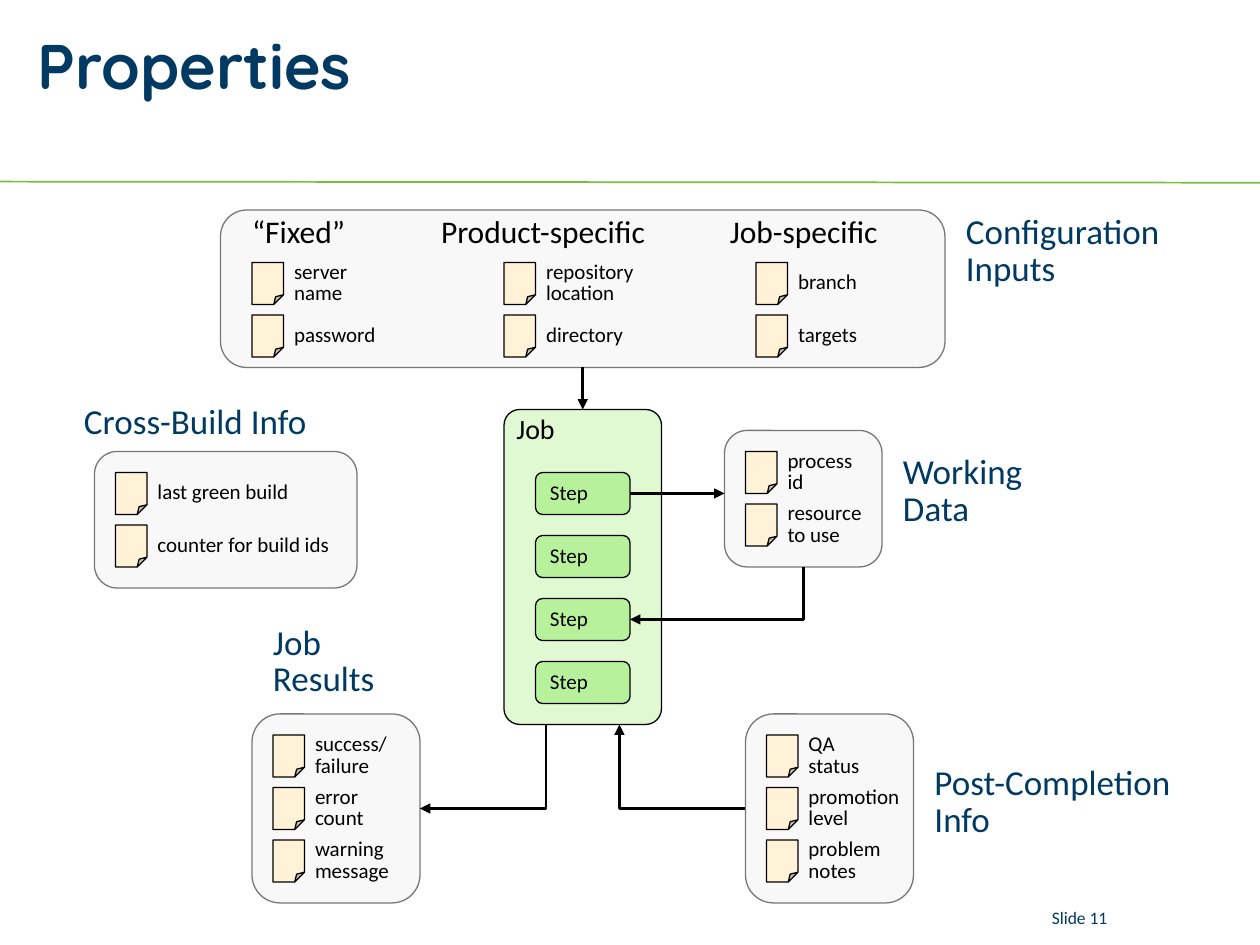
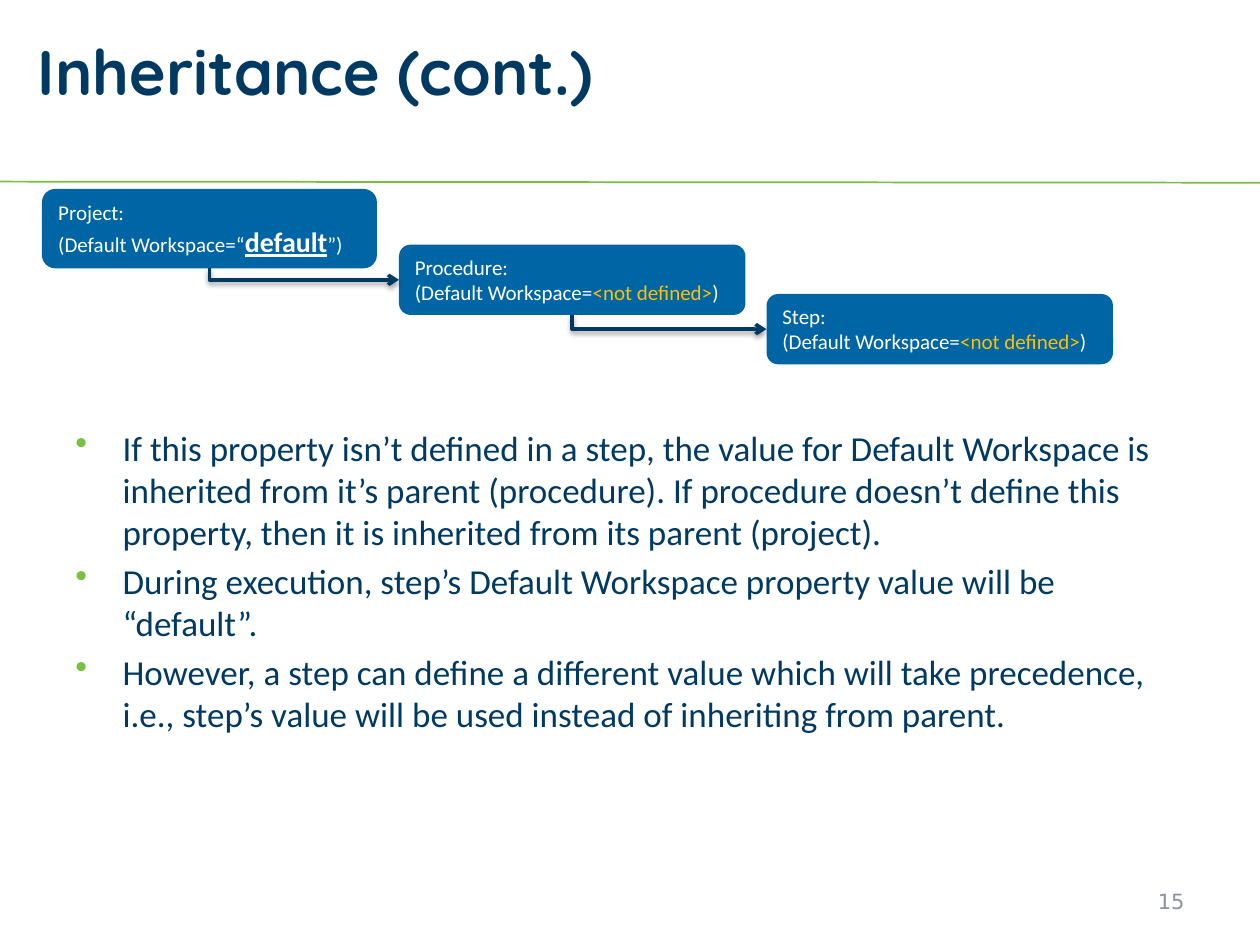
"""Build two slides on build properties: a property map and property inheritance."""
from dataclasses import dataclass

from lxml import etree
from pptx import Presentation
from pptx import util as u
from pptx.dml.color import RGBColor
from pptx.enum import shapes, text
from pptx.oxml.ns import qn

COLS, ROWS = 120, 90
CELL = u.Inches(10) // COLS


@dataclass(frozen=True)
class Theme:
    """Colours, fonts and type sizes shared by the slides."""
    navy: str = "003A63"
    rule: str = "77C03E"
    bullet: str = "7AC143"
    black: str = "000000"
    white: str = "FFFFFF"
    panel: str = "F8F8F8"
    panel_line: str = "777777"
    note: str = "FFF2D7"
    job: str = "E0F9D3"
    step: str = "B8F19B"
    card: str = "0065A4"
    undefined: str = "FFC000"
    number: str = "8C919F"
    head_font: str = "Quicksand"
    body_font: str = "Calibri"
    number_font: str = "DejaVu Sans"
    title: float = 36
    label: float = 20
    column: float = 18
    strong: float = 16
    small: float = 12
    footer: float = 10


T = Theme()


@dataclass(frozen=True)
class Box:
    """A rectangle in grid columns and rows."""
    x: float
    y: float
    w: float
    h: float

    def emu(self) -> list[int]:
        """Return left, top, width and height in EMU."""
        return [at(n) for n in (self.x, self.y, self.w, self.h)]


@dataclass(frozen=True)
class Panel:
    """A rounded panel with columns of notes and a label beside it."""
    box: Box
    label: str
    label_box: Box
    notes: tuple[tuple[str, ...], ...]
    dx: float = 2
    dy: float = 2


@dataclass(frozen=True)
class Span:
    """A piece of text with its own look."""
    words: str
    color: str = T.white
    strong: bool = False


@dataclass(frozen=True)
class Card:
    """A level of the inheritance chain."""
    box: Box
    name: str
    value: tuple[Span, ...]


UNDEFINED = (Span("(Default Workspace="), Span("<not defined>", T.undefined), Span(")"))
CARDS = (
    Card(Box(4, 18, 31.9, 7.56), "Project:",
         (Span("(Default Workspace=“"), Span("default", strong=True), Span("”)"))),
    Card(Box(38, 23.3, 33, 6.7), "Procedure:", UNDEFINED),
    Card(Box(73, 28, 33, 6.7), "Step:", UNDEFINED),
)
PANELS = {
    "config": Panel(Box(21, 20, 69, 15), "Configuration\nInputs", Box(92, 20.5, 24, 7),
                    (("server\nname", "password"), ("repository\nlocation", "directory"),
                     ("branch", "targets")), 3, 5),
    "working": Panel(Box(69, 41, 15, 13), "Working\nData", Box(86, 43.4, 14, 7),
                     (("process\nid", "resource\nto use"),)),
    "results": Panel(Box(24, 68, 16, 18), "Job\nResults", Box(26, 59.6, 14, 7),
                     (("success/\nfailure", "error\ncount", "warning\nmessage"),)),
    "post": Panel(Box(71, 68, 16, 18), "Post-Completion\nInfo", Box(89, 73, 26, 7),
                  (("QA\nstatus", "promotion\nlevel", "problem\nnotes"),)),
    "cross": Panel(Box(9, 43, 25, 13), "Cross-Build Info", Box(8, 38.6, 27, 3.5),
                   (("last green build", "counter for build ids"),)),
}
INPUT_KINDS = (("“Fixed”", 24), ("Product-specific", 42), ("Job-specific", 69.5))
ELBOWS = (
    ((76.5, 54), (76.5, 59), (60, 59)),
    ((52, 69), (52, 77), (40, 77)),
    ((71, 77), (59, 77), (59, 69)),
)
RULES = (
    "If this property isn’t defined in a step, the value for Default Workspace is inherited "
    "from it’s parent (procedure). If procedure doesn’t define this property, then it is "
    "inherited from its parent (project).",
    "During execution, step’s Default Workspace property value will be “default”.",
    "However, a step can define a different value which will take precedence, i.e., step’s "
    "value will be used instead of inheriting from parent.",
)


def at(n: float) -> int:
    """Convert grid cells to EMU."""
    return round(n * CELL)


def style(font, size: float, color: str, name: str = T.body_font, bold: bool = False) -> None:
    """Set the look of a font."""
    font.size, font.name, font.bold = u.Pt(size), name, bold
    font.color.rgb = RGBColor.from_string(color)


def write(tf, words: str, size: float, color: str = T.black, spacing: float = 1,
          name: str = T.body_font, align=text.PP_ALIGN.LEFT):
    """Write one paragraph into a text frame."""
    tf.word_wrap = True
    p = tf.paragraphs[0]
    p.text, p.line_spacing, p.alignment = words, spacing, align
    style(p.font, size, color, name)
    return p


def add_text(s, box: Box, words: str, size: float, color: str = T.black, spacing: float = 1,
             anchor=text.MSO_ANCHOR.TOP, inset: bool = False, **look):
    """Add a text box holding one paragraph."""
    tf = s.shapes.add_textbox(*box.emu()).text_frame
    tf.vertical_anchor = anchor
    if not inset:
        tf.margin_left = tf.margin_right = tf.margin_top = tf.margin_bottom = 0
    write(tf, words, size, color, spacing, **look)
    return tf


def add_box(s, kind, box: Box, fill: str, line: str | None = None, adj: float | None = None):
    """Add a filled preset shape."""
    sp = s.shapes.add_shape(kind, *box.emu())
    sp.shadow.inherit = False
    sp.fill.solid()
    sp.fill.fore_color.rgb = RGBColor.from_string(fill)
    if line:
        sp.line.color.rgb = RGBColor.from_string(line)
        sp.line.width = u.Pt(0.75)
    else:
        sp.line.fill.background()
    if adj is not None:
        guides = sp._element.spPr.find(qn("a:prstGeom")).get_or_add_avLst()
        for guide in list(guides):
            guides.remove(guide)
        etree.SubElement(guides, qn("a:gd"), name="adj", fmla=f"val {round(adj * 100000)}")
    return sp


def stroke(sp, color: str, width: float, head: str | None = None) -> None:
    """Set a line's colour, width and arrowhead."""
    sp.line.color.rgb = RGBColor.from_string(color)
    sp.line.width = u.Pt(width)
    if head:
        etree.SubElement(sp._element.spPr.find(qn("a:ln")), qn("a:tailEnd"), type=head)


def add_line(s, x1: float, y1: float, x2: float, y2: float, color: str = T.black,
             width: float = 1.5, head: str | None = None, kind=shapes.MSO_CONNECTOR.STRAIGHT):
    """Add a connector without a shadow."""
    c = s.shapes.add_connector(kind, at(x1), at(y1), at(x2), at(y2))
    stroke(c, color, width, head)
    etree.SubElement(c._element.spPr, qn("a:effectLst"))
    return c


def add_elbow(s, points: tuple[tuple[float, float], ...]) -> None:
    """Add an open bent arrow through the points."""
    (x, y), *rest = points
    fb = s.shapes.build_freeform(at(x), at(y))
    fb.add_line_segments([(at(a), at(b)) for a, b in rest], close=False)
    sp = fb.convert_to_shape()
    sp.shadow.inherit = False
    sp.fill.background()
    stroke(sp, T.black, 1.5, "triangle")


def add_drop(s, upper, lower) -> None:
    """Join the bottom of one card to the left of the next, down and then right."""
    c = add_line(s, 0, 0, 1, 1, T.navy, 2, "arrow", shapes.MSO_CONNECTOR.ELBOW)
    c.begin_connect(upper, 2)
    c.end_connect(lower, 1)
    x, y, w, h = c.left, c.top, c.width, c.height
    c.left, c.top = x + (w - h) // 2, y + (h - w) // 2
    c.width, c.height = h, w
    sppr = c._element.spPr
    xfrm = sppr.find(qn("a:xfrm"))
    xfrm.set("rot", "16200000")
    xfrm.set("flipH", "1")
    sppr.find(qn("a:prstGeom")).set("prst", "bentConnector2")
    shadow = etree.SubElement(sppr.find(qn("a:effectLst")), qn("a:outerShdw"),
                              blurRad=str(int(u.Pt(3.1))), dist=str(int(u.Pt(1.6))),
                              dir="5400000", rotWithShape="0")
    tint = etree.SubElement(shadow, qn("a:srgbClr"), val=T.black)
    etree.SubElement(tint, qn("a:alpha"), val="38000")


def add_slide(prs, title: str, spacing: float = 1):
    """Add a titled slide with the green rule."""
    s = prs.slides.add_slide(prs.slide_layouts[5])
    add_line(s, 0, 17.3, COLS, 17.4, T.rule, 1)
    sp = s.shapes.title
    sp.left, sp.top, sp.width, sp.height = Box(2.4, 2.5, 97.6, 8.4).emu()
    tf = sp.text_frame
    tf.vertical_anchor, tf.auto_size = text.MSO_ANCHOR.TOP, text.MSO_AUTO_SIZE.NONE
    p = write(tf, title, T.title, T.navy, spacing, T.head_font)
    p.font.bold = True
    return s


def add_panel(s, panel: Panel):
    """Draw a panel, its notes and its label."""
    b = panel.box
    sp = add_box(s, shapes.MSO_SHAPE.ROUNDED_RECTANGLE, b, T.panel, T.panel_line)
    for i, column in enumerate(panel.notes):
        for j, words in enumerate(column):
            x, y = b.x + panel.dx + 24 * i, b.y + panel.dy + 5 * j
            add_box(s, shapes.MSO_SHAPE.FOLDED_CORNER, Box(x, y, 3, 4), T.note, T.black, 0.31)
            add_text(s, Box(x + 4, y, min(20, b.x + b.w - x - 4), 4), words, T.small,
                     spacing=0.85, anchor=text.MSO_ANCHOR.MIDDLE)
    add_text(s, panel.label_box, panel.label, T.label, T.navy, 0.87)
    return sp


def properties_slide(prs) -> None:
    """Draw the job and the property groups around it."""
    s = add_slide(prs, "Properties", 0.95)
    rounded = shapes.MSO_SHAPE.ROUNDED_RECTANGLE
    job = add_box(s, rounded, Box(48, 39, 15, 30), T.job, T.black, 0.1)
    add_text(s, Box(48, 39, 15, 4), "Job", T.strong, spacing=0.87, inset=True)
    steps = [add_box(s, rounded, Box(51, 45 + 6 * i, 9, 4), T.step, T.black) for i in range(4)]
    for step in steps:
        write(step.text_frame, "Step", T.small, spacing=0.87)
    drawn = {name: add_panel(s, panel) for name, panel in PANELS.items()}
    for words, x in INPUT_KINDS:
        add_text(s, Box(x, 20.6, 21, 3.3), words, T.column, spacing=0.9)
    feed = add_line(s, 55.5, 35, 55.5, 39, head="triangle")
    feed.begin_connect(drawn["config"], 2)
    feed.end_connect(job, 0)
    add_line(s, 60, 47, 69, 47, head="triangle").begin_connect(steps[0], 3)
    for points in ELBOWS:
        add_elbow(s, points)
    add_text(s, Box(99, 83, 12, 6), "Slide 11", T.footer, T.navy,
             anchor=text.MSO_ANCHOR.BOTTOM, inset=True)


def inheritance_slide(prs) -> None:
    """Draw the inheritance chain and its rules."""
    s = add_slide(prs, "Inheritance (cont.)")
    drawn = []
    for card in CARDS:
        sp = add_box(s, shapes.MSO_SHAPE.ROUNDED_RECTANGLE, card.box, T.card)
        tf = sp.text_frame
        tf.vertical_anchor = text.MSO_ANCHOR.TOP
        write(tf, card.name, T.small, T.white)
        p = tf.add_paragraph()
        p.alignment = text.PP_ALIGN.LEFT
        for span in card.value:
            r = p.add_run()
            r.text = span.words
            style(r.font, T.strong if span.strong else T.small, span.color, bold=span.strong)
            r.font.underline = span.strong
        drawn.append(sp)
    tf = s.shapes.add_textbox(*Box(6, 40, 107.8, 42).emu()).text_frame
    tf.word_wrap = True
    for i, words in enumerate(RULES):
        p = tf.add_paragraph() if i else tf.paragraphs[0]
        p.text, p.space_before = words, u.Pt(4)
        style(p.font, T.label, T.navy)
        ppr = p._p.get_or_add_pPr()
        ppr.set("marL", str(at(4.5)))
        ppr.set("indent", str(-at(4.5)))
        color = etree.Element(qn("a:buClr"))
        etree.SubElement(color, qn("a:srgbClr"), val=T.bullet)
        ppr.find(qn("a:spcBef")).addnext(color)
        color.addnext(etree.Element(qn("a:buChar"), char="•"))
    for upper, lower in zip(drawn, drawn[1:]):
        add_drop(s, upper, lower)
    add_text(s, Box(86, 83.4, 28, 4.8), "15", T.small, T.number, inset=True,
             anchor=text.MSO_ANCHOR.MIDDLE, name=T.number_font, align=text.PP_ALIGN.RIGHT)


def main() -> None:
    """Build and save the presentation."""
    prs = Presentation()
    prs.slide_width, prs.slide_height = COLS * CELL, ROWS * CELL
    properties_slide(prs)
    inheritance_slide(prs)
    prs.save("out.pptx")


if __name__ == "__main__":
    main()
